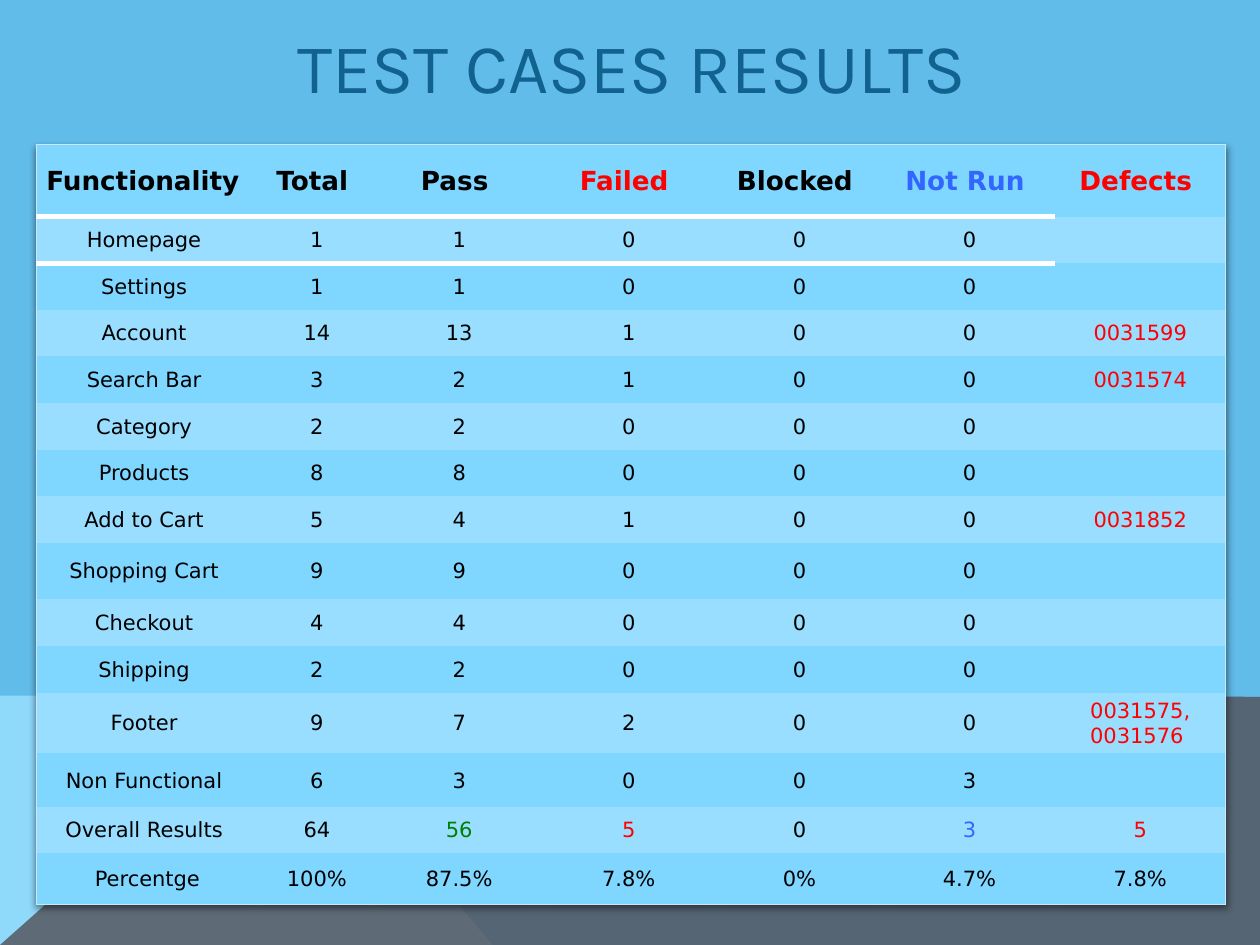
from lxml.etree import SubElement as Sub
from pptx import Presentation
from pptx.dml.color import RGBColor as RGB
from pptx.enum.text import MSO_ANCHOR as Anchor, PP_ALIGN as Align
from pptx.oxml.ns import qn
from pptx.util import Inches, Pt

THEME = dict(
    sky="62BCE9", pale="8FD9FB", slate="525056", title="11628F",
    band=("7FD6FF", "99DEFF"), edge="CBE8F8", rule="FFFFFF",
    ink="000000", red="FF0000", blue="3366FF", green="007F00",
    head=15, body=12, big=40, font="DejaVu Sans", face="Karla",
)
TITLE = "TEST CASES RESULTS"
HEADS = ["Functionality ", "Total ", "Pass ", "Failed ", "Blocked ", "Not Run ", "Defects "]
ROWS = [
    ("Homepage ", 1, 1, 0, 0, 0, ""),
    ("Settings ", 1, 1, 0, 0, 0, ""),
    ("Account ", 14, 13, 1, 0, 0, "0031599"),
    ("Search Bar ", 3, 2, 1, 0, 0, "0031574"),
    ("Category ", 2, 2, 0, 0, 0, ""),
    ("Products ", 8, 8, 0, 0, 0, ""),
    ("Add to Cart ", 5, 4, 1, 0, 0, "0031852"),
    ("Shopping Cart ", 9, 9, 0, 0, 0, ""),
    ("Checkout ", 4, 4, 0, 0, 0, ""),
    ("Shipping ", 2, 2, 0, 0, 0, ""),
    ("Footer ", 9, 7, 2, 0, 0, "0031575, 0031576 "),
    ("Non Functional ", 6, 3, 0, 0, 3, ""),
    ("Overall Results ", 64, 56, 5, 0, 3, 5),
    ("Percentge", "100%", "87.5%", "7.8%", "0%", "4.7%", "7.8%"),
]
GRID = [HEADS, *ROWS]
WIDTHS = [1.76, 0.93, 1.33, 1.36, 1.35, 1.35, 1.36]
HEIGHTS = [0.57] + [0.37] * 7 + [0.45, 0.37, 0.37, 0.48, 0.43, 0.36, 0.41]
LAST, END = len(GRID) - 1, len(HEADS) - 1
TOTAL = LAST - 1
HUES = {
    0: {3: "red", 5: "blue", 6: "red"},
    TOTAL: {2: "green", 3: "red", 5: "blue", 6: "red"},
    LAST: {},
}
PANELS = [
    ([(0, 7.5), (0, 5.52), (2.23, 5.52), (3.91, 7.5)], "pale", 100),
    ([(0, 7.5), (2.23, 5.52), (10, 5.53), (10, 7.5)], "slate", 80),
]
NO_GRID = "{2D5ABB26-0587-4C30-8999-92F81FD0307C}"


def paint(fill, hue):
    fill.solid()
    fill.fore_color.rgb = RGB.from_string(hue)


def style(para, text, hue, **form):
    para.alignment = Align.CENTER
    run = para.add_run()
    run.text = text
    run.font.color.rgb = RGB.from_string(hue)
    for key, val in form.items():
        setattr(run.font, key, val)


def panel(slide, points, hue, alpha):
    build = slide.shapes.build_freeform(*map(Inches, points[0]), scale=1.0)
    build.add_line_segments([tuple(map(Inches, p)) for p in points[1:]], close=True)
    shape = build.convert_to_shape()
    shape.shadow.inherit = False
    shape.line.fill.background()
    paint(shape.fill, THEME[hue])
    if alpha < 100:
        tone = shape.element.spPr.find(".//" + qn("a:srgbClr"))
        Sub(tone, qn("a:alpha"), val=str(alpha * 1000))


def border(cell, row, col):
    thin, thick = (THEME["edge"], 0.75), (THEME["rule"], 3)
    ruled = col < END
    sides = {
        "L": thin if col == 0 else None,
        "R": thin if col == END else None,
        "T": thin if row == 0 else thick if row == 1 and ruled else None,
        "B": thin if row == LAST else thick if row == 0 and ruled else None,
    }
    props = cell._tc.get_or_add_tcPr()
    for side, look in sides.items():
        if look:
            hue, size = look
            line = Sub(props, qn("a:ln" + side), w=str(Pt(size)))
            Sub(Sub(line, qn("a:solidFill")), qn("a:srgbClr"), val=hue)


def shade(props):
    props.find(qn("a:tableStyleId")).text = NO_GRID
    list_ = Sub(props, qn("a:effectLst"))
    props.insert(0, list_)
    cast = Sub(list_, qn("a:outerShdw"), blurRad=str(Pt(4)), dist=str(Pt(2)),
               dir="5400000", rotWithShape="0")
    Sub(Sub(cast, qn("a:srgbClr"), val=THEME["ink"]), qn("a:alpha"), val="50000")


def results(slide):
    box = map(Inches, (0.29, 1.15, sum(WIDTHS), sum(HEIGHTS)))
    table = slide.shapes.add_table(len(GRID), len(HEADS), *box).table
    shade(table._tbl.tblPr)
    for part, size in zip(table.columns, WIDTHS):
        part.width = Inches(size)
    for part, size in zip(table.rows, HEIGHTS):
        part.height = Inches(size)
    form = dict(vertical_anchor=Anchor.MIDDLE, margin_left=Inches(0.01),
                margin_right=Inches(0.01), margin_top=Inches(0.01), margin_bottom=0)
    for row, line in enumerate(GRID):
        size = THEME["body" if row else "head"]
        for col, val in enumerate(line):
            cell = table.cell(row, col)
            for key, item in form.items():
                setattr(cell, key, item)
            border(cell, row, col)
            paint(cell.fill, THEME["band"][row % 2])
            hue = HUES.get(row, {END: "red"}).get(col, "ink")
            style(cell.text_frame.paragraphs[0], str(val), THEME[hue],
                  name=THEME["font"], size=Pt(size), bold=row == 0)


def title(slide):
    frame = slide.shapes.add_textbox(*map(Inches, (0.9, 0.21, 8.22, 0.62))).text_frame
    frame.word_wrap = True
    frame.vertical_anchor = Anchor.MIDDLE
    style(frame.paragraphs[0], TITLE, THEME["title"],
          name=THEME["face"], size=Pt(THEME["big"]))


def main():
    deck = Presentation()
    deck.slide_width, deck.slide_height = Inches(10), Inches(7.5)
    slide = deck.slides.add_slide(deck.slide_layouts[6])
    paint(slide.background.fill, THEME["sky"])
    for item in PANELS:
        panel(slide, *item)
    results(slide)
    title(slide)
    deck.save("out.pptx")


if __name__ == "__main__":
    main()
